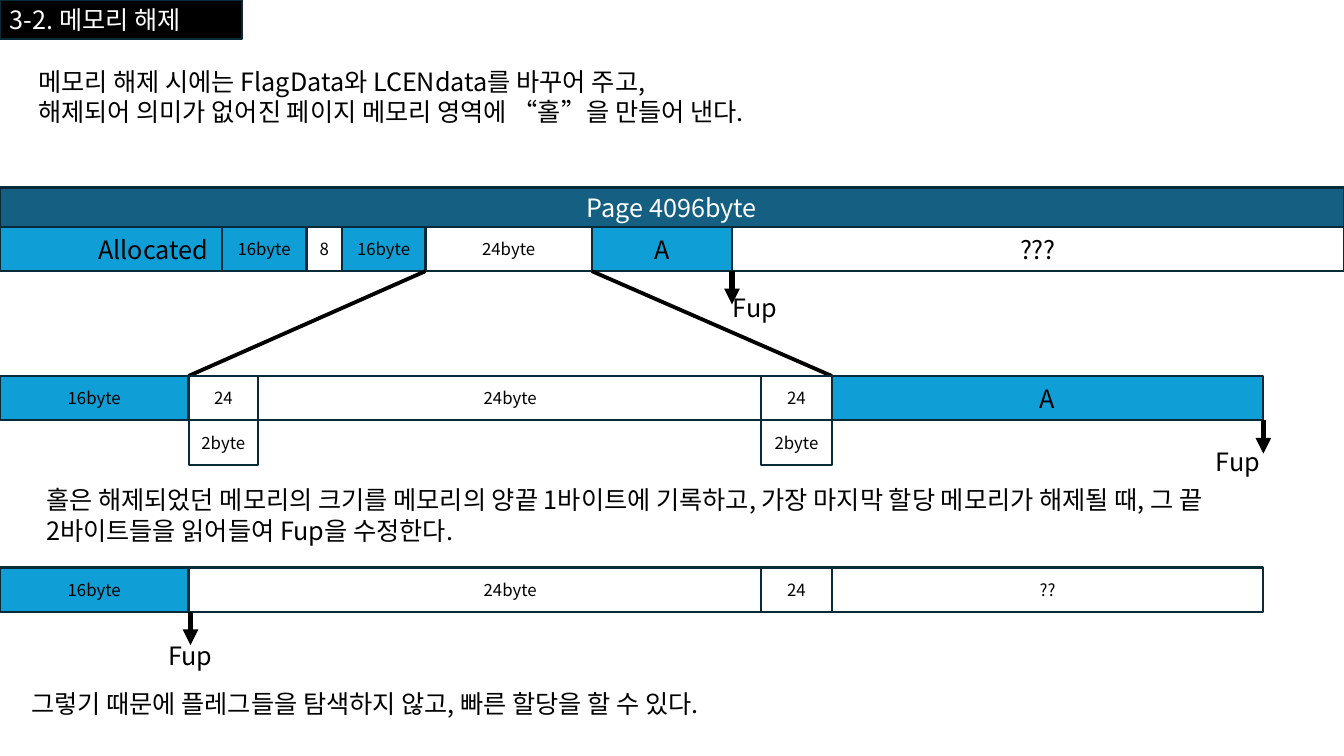
from pptx import Presentation
from pptx.dml.color import RGBColor
from pptx.enum.shapes import MSO_CONNECTOR, MSO_SHAPE
from pptx.enum.text import MSO_ANCHOR, PP_ALIGN
from pptx.oxml.ns import qn
from pptx.util import Inches, Pt
from lxml import etree

RECTANGLE = MSO_SHAPE.RECTANGLE
STRAIGHT = MSO_CONNECTOR.STRAIGHT
MIDDLE = MSO_ANCHOR.MIDDLE
LEFT, CENTER = PP_ALIGN.LEFT, PP_ALIGN.CENTER

FONT = "Noto Sans CJK KR"
BLACK, WHITE = "000000", "FFFFFF"
USED, HEADER, OUTLINE = "0F9ED5", "156082", "092A39"
BODY, SMALL = 18, 12
PAGE_W, PAGE_H = 13.33, 7.5
HEADER_H, CELL_H = 0.39, 0.44

# Column edges of the memory bands, in inches from the band's left end
PAGE_EDGES = [0, 2.2, 3.04, 3.39, 4.22, 5.87, 7.26, PAGE_W]
ZOOM_EDGES = [0, 1.87, 2.56, 7.55, 8.25, 12.53]

# Cells: first edge, last edge, text, fill, text size
PAGE_CELLS = [
    (0, 2, "Allocated", USED, BODY),
    (6, 7, "???", WHITE, BODY),
    (4, 5, "24byte", WHITE, SMALL),
    (1, 2, "16byte", USED, SMALL),
    (3, 4, "16byte", USED, SMALL),
    (2, 3, "8", WHITE, SMALL),
    (5, 6, "A", USED, BODY),
]
HOLE_CELLS = [
    (1, 4, "24byte", WHITE, SMALL),
    (1, 2, "24", WHITE, SMALL),
    (3, 4, "24", WHITE, SMALL),
    (4, 5, "A", USED, BODY),
    (0, 1, "16byte", USED, SMALL),
]
SIZE_CELLS = [(1, 2, "2byte", WHITE, SMALL), (3, 4, "2byte", WHITE, SMALL)]
FREED_CELLS = [
    (1, 4, "24byte", WHITE, SMALL),
    (3, 4, "24", WHITE, SMALL),
    (0, 1, "16byte", USED, SMALL),
    (4, 5, "??", WHITE, SMALL),
]


def color(value):
    return RGBColor.from_string(value)


def write(frame, text, size=BODY, ink=BLACK, align=LEFT):
    frame.word_wrap = True
    for index, line in enumerate(text.split("\n")):
        para = frame.paragraphs[0] if index == 0 else frame.add_paragraph()
        para.alignment = align
        span = para.add_run()
        span.text = line
        span.font.name = FONT
        span.font.size = Pt(size)
        span.font.color.rgb = color(ink)
        east_asian = etree.SubElement(span.font._element, qn("a:ea"))
        east_asian.set("typeface", FONT)


def add_box(page, left, top, width, height, text, fill, **text_format):
    box = page.shapes.add_shape(
        RECTANGLE, Inches(left), Inches(top), Inches(width), Inches(height))
    box.shadow.inherit = False
    box.fill.solid()
    box.fill.fore_color.rgb = color(fill)
    box.line.color.rgb = color(OUTLINE)
    box.line.width = Pt(1.5)
    box.text_frame.vertical_anchor = MIDDLE
    write(box.text_frame, text, **text_format)


def add_text(page, left, top, width, height, text):
    box = page.shapes.add_textbox(
        Inches(left), Inches(top), Inches(width), Inches(height))
    write(box.text_frame, text)


def add_line(page, start, end, weight, arrow=False):
    line = page.shapes.add_connector(
        STRAIGHT, *(Inches(value) for value in (*start, *end)))
    line.line.color.rgb = color(BLACK)
    line.line.width = Pt(weight)
    if arrow:
        outline = line.line._get_or_add_ln()
        etree.SubElement(outline, qn("a:tailEnd")).set("type", "triangle")
    etree.SubElement(line._element.spPr, qn("a:effectLst"))


def add_band(page, top, edges, cells):
    """Place a row of memory cells between the given column edges."""
    for first, last, text, fill, size in cells:
        add_box(page, edges[first], top, edges[last] - edges[first], CELL_H,
                text, fill, size=size, align=CENTER)


def add_pointer(page, x, top, label_dx, label_dy):
    """Place a Fup arrow under a band, with its label beside the tip."""
    add_line(page, (x, top), (x, top + 0.33), 3.75, arrow=True)
    add_text(page, x + label_dx, top + label_dy, 0.77, 0.4, "Fup")


def add_page_region(page, top):
    add_box(page, 0, top, PAGE_W, HEADER_H, "Page 4096byte", HEADER,
            ink=WHITE, align=CENTER)
    add_band(page, top + HEADER_H, PAGE_EDGES, PAGE_CELLS)
    add_pointer(page, PAGE_EDGES[6], top + HEADER_H + CELL_H, 
                -0.09, 0.16)


def add_hole_region(page, top, page_bottom):
    for page_edge, zoom_edge in ((4, 1), (5, 4)):
        add_line(page, (PAGE_EDGES[page_edge], page_bottom),
                 (ZOOM_EDGES[zoom_edge], top), 2.75)
    add_band(page, top + CELL_H, ZOOM_EDGES, SIZE_CELLS)
    add_band(page, top, ZOOM_EDGES, HOLE_CELLS)
    add_pointer(page, ZOOM_EDGES[5], top + CELL_H, -0.57, 0.21)


def add_freed_region(page, top):
    add_band(page, top, ZOOM_EDGES, FREED_CELLS)
    add_pointer(page, ZOOM_EDGES[1] + 0.02, top + CELL_H, -0.32, 0.23)


def main():
    deck = Presentation()
    deck.slide_width, deck.slide_height = Inches(PAGE_W), Inches(PAGE_H)
    page = deck.slides.add_slide(deck.slide_layouts[6])

    # Title and introduction
    add_box(page, 0, 0, 2.4, HEADER_H, "3-2. 메모리 해제", BLACK, ink=WHITE)
    add_text(page, 0.28, 0.61, 11.75, 0.71,
             "메모리 해제 시에는 FlagData와 LCENdata를 바꾸어 주고,\n"
             "해제되어 의미가 없어진 페이지 메모리 영역에 “홀”을 만들어 낸다.")

    # Whole page, then the freed hole enlarged
    page_top = 1.86
    add_page_region(page, page_top)
    add_hole_region(page, 3.73, page_top + HEADER_H + CELL_H)
    add_text(page, 0.36, 4.76, 11.75, 0.71,
             "홀은 해제되었던 메모리의 크기를 메모리의 양끝 1바이트에 기록하고, "
             "가장 마지막 할당 메모리가 해제될 때, "
             "그 끝 2바이트들을 읽어들여 Fup을 수정한다.")

    # State after the last block is freed
    add_freed_region(page, 5.63)
    add_text(page, 0.21, 6.78, 11.75, 0.4,
             "그렇기 때문에 플레그들을 탐색하지 않고, 빠른 할당을 할 수 있다.")

    deck.save("out.pptx")


if __name__ == "__main__":
    main()
